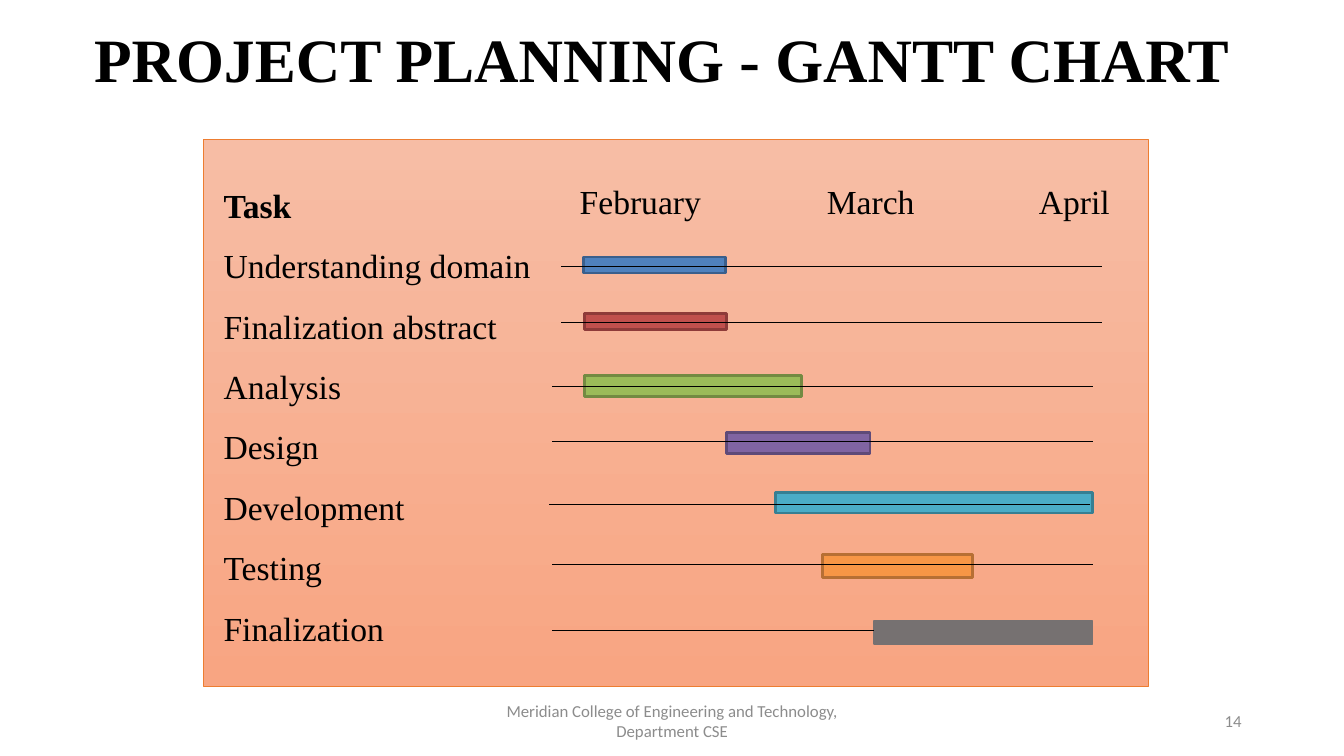
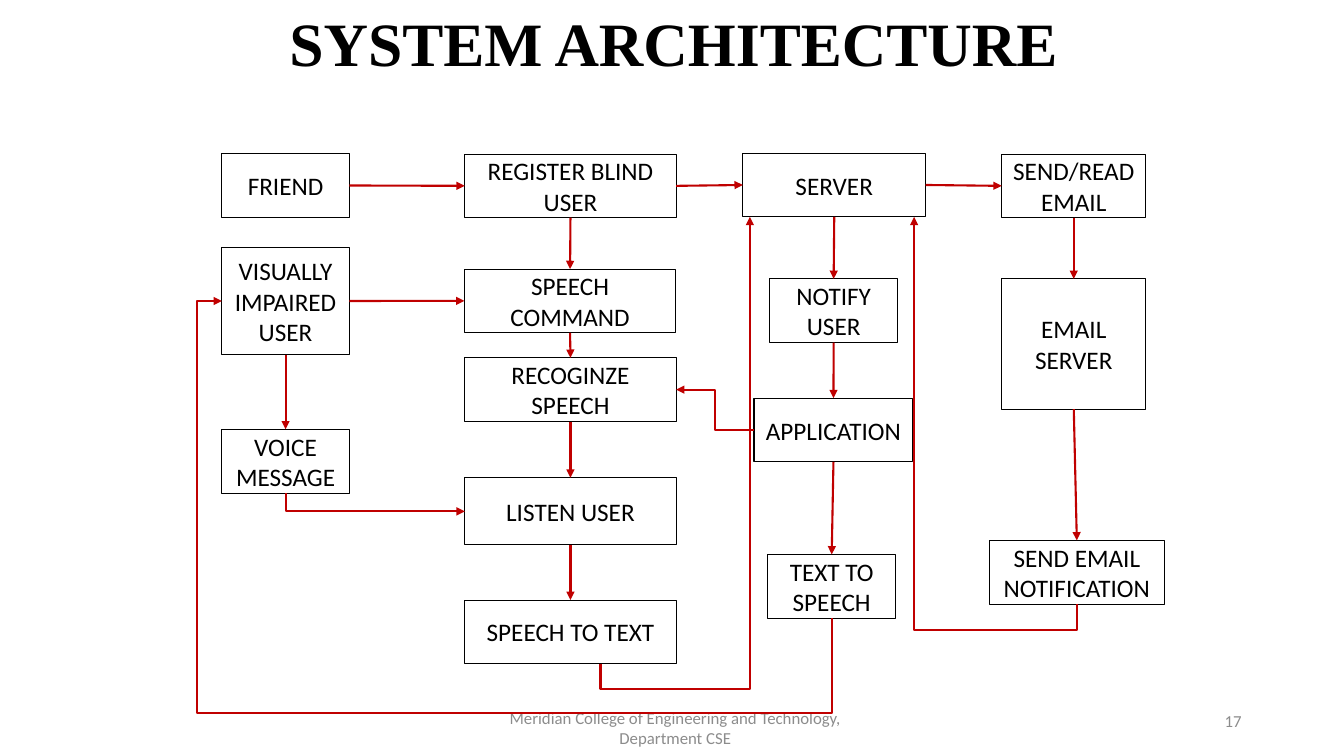
import pptx
import pptx.util
import pptx.dml.color
import pptx.enum.shapes
import pptx.enum.text
import pptx.oxml
import pptx.oxml.ns

Pt = pptx.util.Pt
qn = pptx.oxml.ns.qn
SubElement = pptx.oxml.xmlchemy.OxmlElement
CONNECTOR = pptx.enum.shapes.MSO_CONNECTOR
ALIGN = pptx.enum.text.PP_ALIGN
ANCHOR = pptx.enum.text.MSO_ANCHOR

COLORS = {
    "black": "000000", "white": "FFFFFF", "footer": "8C8C8C", "arrow": "C00000",
    "panel top": "F7BDA5", "panel bottom": "F8A582", "panel line": "ED7D31",
    "blue": "4F81BD", "blue line": "3A5F8C", "red": "C0504D", "red line": "8E3B39",
    "green": "9BBB59", "green line": "738A42", "purple": "8064A2", "purple line": "5F4A78",
    "aqua": "4BACC6", "aqua line": "377F92", "orange": "F79646", "orange line": "B76F34",
    "gray": "767171", "gray line": "767171",
}
SERIF, SANS = "Times New Roman", "Calibri"
TOP, LEFT, BOTTOM, RIGHT = range(4)

TASKS = ["Understanding domain", "Finalization abstract", "Analysis", "Design",
         "Development", "Testing", "Finalization"]
MONTHS = [("February", 407), ("March", 583.5), ("April", 735)]
GUIDE_WIDTH = 386
# color, bar left, top, width, height, guide left, guide y
BARS = [
    ("blue", 417, 183.6, 101.5, 11.5, 401, 190.6),
    ("red", 417.5, 223.8, 101.5, 11.5, 401, 230.4),
    ("green", 417.5, 268, 155, 15, 394.6, 275.8),
    ("purple", 519, 309, 102.5, 15, 394.6, 315.4),
    ("aqua", 553.7, 352, 226.8, 14.5, 392.4, 360),
    ("orange", 587.5, 396, 107.3, 16.5, 394.6, 403.2),
    ("gray", 624.2, 443.5, 156.2, 16.5, 394.6, 450),
]

# text: left, top, width, height
BOXES = {
    "FRIEND": (158.5, 109.5, 91, 46),
    "VISUALLY IMPAIRED USER": (158.5, 176.5, 91, 77),
    "VOICE MESSAGE": (158.5, 306.7, 91, 45.5),
    "REGISTER BLIND USER": (332, 110, 151, 45.5),
    "SPEECH COMMAND": (331.7, 192.2, 151, 45.5),
    "RECOGINZE SPEECH": (332, 255.6, 151, 45.5),
    "LISTEN USER": (332, 341.3, 151, 48),
    "SPEECH TO TEXT": (332, 428.6, 151, 45.5),
    "SERVER": (530.6, 109.4, 130.6, 45.5),
    "NOTIFY USER": (550, 199.2, 91, 45.5),
    "APPLICATION": (538.6, 284.4, 113.5, 45.5),
    "TEXT TO SPEECH": (548.6, 396, 91, 45.5),
    "SEND/READ EMAIL": (715.5, 110, 103, 45.5),
    "EMAIL SERVER": (715.5, 199.2, 103, 93),
    "SEND EMAIL NOTIFICATION": (706.8, 386, 124.8, 45.5),
}
ACROSS = [
    ("FRIEND", "REGISTER BLIND USER"),
    ("REGISTER BLIND USER", "SERVER"),
    ("SERVER", "SEND/READ EMAIL"),
    ("VISUALLY IMPAIRED USER", "SPEECH COMMAND"),
]
DOWNWARD = [
    ("VISUALLY IMPAIRED USER", "VOICE MESSAGE"),
    ("REGISTER BLIND USER", "SPEECH COMMAND"),
    ("SPEECH COMMAND", "RECOGINZE SPEECH"),
    ("RECOGINZE SPEECH", "LISTEN USER"),
    ("LISTEN USER", "SPEECH TO TEXT"),
    ("SERVER", "NOTIFY USER"),
    ("NOTIFY USER", "APPLICATION"),
    ("APPLICATION", "TEXT TO SPEECH"),
    ("SEND/READ EMAIL", "EMAIL SERVER"),
    ("EMAIL SERVER", "SEND EMAIL NOTIFICATION"),
]


def rgb(name):
    return pptx.dml.color.RGBColor.from_string(COLORS[name])


def write(shape, lines, size, font=SANS, color="black", align=ALIGN.LEFT,
          anchor=ANCHOR.MIDDLE, bold=False, spacing=1.0):
    frame = shape.text_frame
    frame.word_wrap = True
    frame.vertical_anchor = anchor
    frame.text = "\n".join(lines)
    for paragraph in frame.paragraphs:
        paragraph.alignment = align
        paragraph.line_spacing = spacing
        paragraph.font.size = Pt(size)
        paragraph.font.name = font
        paragraph.font.bold = bold
        paragraph.font.color.rgb = rgb(color)


def add_text(slide, area, lines, size, **style):
    shape = slide.shapes.add_textbox(*map(Pt, area))
    write(shape, lines, size, **style)
    return shape


def add_rectangle(slide, area, fill, line, line_width):
    shape = slide.shapes.add_shape(pptx.enum.shapes.MSO_SHAPE.RECTANGLE, *map(Pt, area))
    shape.shadow.inherit = False
    shape.fill.solid()
    shape.fill.fore_color.rgb = rgb(fill)
    shape.line.color.rgb = rgb(line)
    shape.line.width = Pt(line_width)
    return shape


def add_line(slide, start, end, color, width, kind=CONNECTOR.STRAIGHT):
    connector = slide.shapes.add_connector(kind, *map(Pt, (*start, *end)))
    connector.line.color.rgb = rgb(color)
    connector.line.width = Pt(width)
    connector.element.spPr.append(SubElement("a:effectLst"))
    return connector


def add_arrow(slide, start, end, kind=CONNECTOR.STRAIGHT, source=None, target=None):
    """Arrow between points; source and target are (shape, site) joints."""
    connector = add_line(slide, start, end, "arrow", 1.5, kind)
    tail = SubElement("a:tailEnd")
    tail.set("type", "triangle")
    connector.element.spPr.find(qn("a:ln")).append(tail)
    if source:
        connector.begin_connect(*source)
    if target:
        connector.end_connect(*target)
    return connector


def side_middle(shape, site):
    """Middle of a rectangle's side, in points."""
    across, down = {TOP: (0.5, 0), LEFT: (0, 0.5), BOTTOM: (0.5, 1), RIGHT: (1, 0.5)}[site]
    return (shape.left + shape.width * across) / Pt(1), (shape.top + shape.height * down) / Pt(1)


def join(slide, source, target, kind=CONNECTOR.STRAIGHT):
    return add_arrow(slide, side_middle(*source), side_middle(*target), kind, source, target)


def add_downward_elbow(slide, start, end, turn_y=None, turn_x=None, source=None, target=None):
    """Elbow arrow that leaves downward and turns at turn_y, then at turn_x."""
    connector = add_arrow(slide, start, end, CONNECTOR.ELBOW, source, target)
    (x1, y1), (x2, y2) = start, end
    length, breadth = abs(y2 - y1), abs(x2 - x1)
    connector.left, connector.top = Pt((x1 + x2 - length) / 2), Pt((y1 + y2 - breadth) / 2)
    connector.width, connector.height = Pt(length), Pt(breadth)
    properties = connector.element.spPr
    transform = properties.find(qn("a:xfrm"))
    transform.set("rot", str(90 * 60000))
    transform.set("flipH", str(int(y2 < y1)))
    transform.set("flipV", str(int(x2 > x1)))

    ratios = []
    if turn_y is not None:
        ratios.append((turn_y - y1) / (y2 - y1))
    if turn_x is not None:
        ratios.append((turn_x - x1) / (x2 - x1))
    geometry = properties.find(qn("a:prstGeom"))
    geometry.set("prst", f"bentConnector{2 + len(ratios)}")
    for number, ratio in enumerate(ratios, 1):
        guide = SubElement("a:gd")
        guide.set("name", f"adj{number}")
        guide.set("fmla", f"val {round(ratio * 100000)}")
        geometry.find(qn("a:avLst")).append(guide)


def add_slide(presentation, title, title_area, page, footer_left, footer_top):
    slide = presentation.slides.add_slide(presentation.slide_layouts[6])
    add_text(slide, title_area, [title], 44, font=SERIF, align=ALIGN.CENTER,
             bold=True, spacing=0.9)
    add_text(slide, (footer_left, footer_top, 324, 28.8),
             ["Meridian College of Engineering and Technology,", "Department CSE"],
             12, color="footer", align=ALIGN.CENTER)
    add_text(slide, (678, 500.4, 216, 28.8), [page], 12, color="footer", align=ALIGN.RIGHT)
    return slide


def draw_gantt(slide):
    panel = add_rectangle(slide, (145.5, 99.5, 674.5, 391), "panel top", "panel line", 0.5)
    panel.fill.gradient()
    panel.fill.gradient_angle = 270
    for stop, color in zip(panel.fill.gradient_stops, ("panel top", "panel bottom")):
        stop.color.rgb = rgb(color)

    for color, left, top, width, height, guide_left, guide_y in BARS:
        bar = add_rectangle(slide, (left, top, width, height), color, f"{color} line",
                            1 if color == "gray" else 2)
        guide_right = left if color == "gray" else guide_left + GUIDE_WIDTH
        guide = add_line(slide, (guide_left, guide_y), (guide_right, guide_y), "black", 0.5)

    tasks = add_text(slide, (152.6, 113.8, 239, 356), ["Task"] + TASKS, 24, font=SERIF,
                     anchor=ANCHOR.TOP, spacing=1.5)
    tasks.text_frame.paragraphs[0].font.bold = True
    for month, left in MONTHS:
        add_text(slide, (left, 126, 120, 36), [month], 24, font=SERIF, anchor=ANCHOR.TOP)


def draw_architecture(slide):
    boxes = {}
    for text, area in BOXES.items():
        boxes[text] = add_rectangle(slide, area, "white", "black", 0.75)
        write(boxes[text], [text], 18, align=ALIGN.CENTER)

    for source, target in ACROSS:
        join(slide, (boxes[source], RIGHT), (boxes[target], LEFT))
    for source, target in DOWNWARD:
        join(slide, (boxes[source], BOTTOM), (boxes[target], TOP))
    join(slide, (boxes["APPLICATION"], LEFT), (boxes["RECOGINZE SPEECH"], RIGHT), CONNECTOR.ELBOW)

    for source, target, turns in [
        ("VOICE MESSAGE", "LISTEN USER", ()),
        ("TEXT TO SPEECH", "VISUALLY IMPAIRED USER", (509, 140.5)),
    ]:
        start, end = (boxes[source], BOTTOM), (boxes[target], LEFT)
        add_downward_elbow(slide, side_middle(*start), side_middle(*end), *turns,
                           source=start, target=end)
    server_bottom = side_middle(boxes["SERVER"], BOTTOM)[1]
    add_downward_elbow(slide, (429, 474), (535.7, server_bottom), 491.8)
    notification = (boxes["SEND EMAIL NOTIFICATION"], BOTTOM)
    add_downward_elbow(slide, side_middle(*notification), (653, server_bottom), 450,
                       source=notification)


def main():
    presentation = pptx.Presentation()
    presentation.slide_width, presentation.slide_height = Pt(960), Pt(540)
    draw_gantt(add_slide(presentation, "PROJECT PLANNING - GANTT CHART",
                         (10.8, 0, 924.5, 90), "14", 318.2, 500.4))
    draw_architecture(add_slide(presentation, "SYSTEM ARCHITECTURE",
                                (158.4, 0, 646, 66), "17", 320.4, 505.4))
    presentation.save("out.pptx")


if __name__ == "__main__":
    main()
